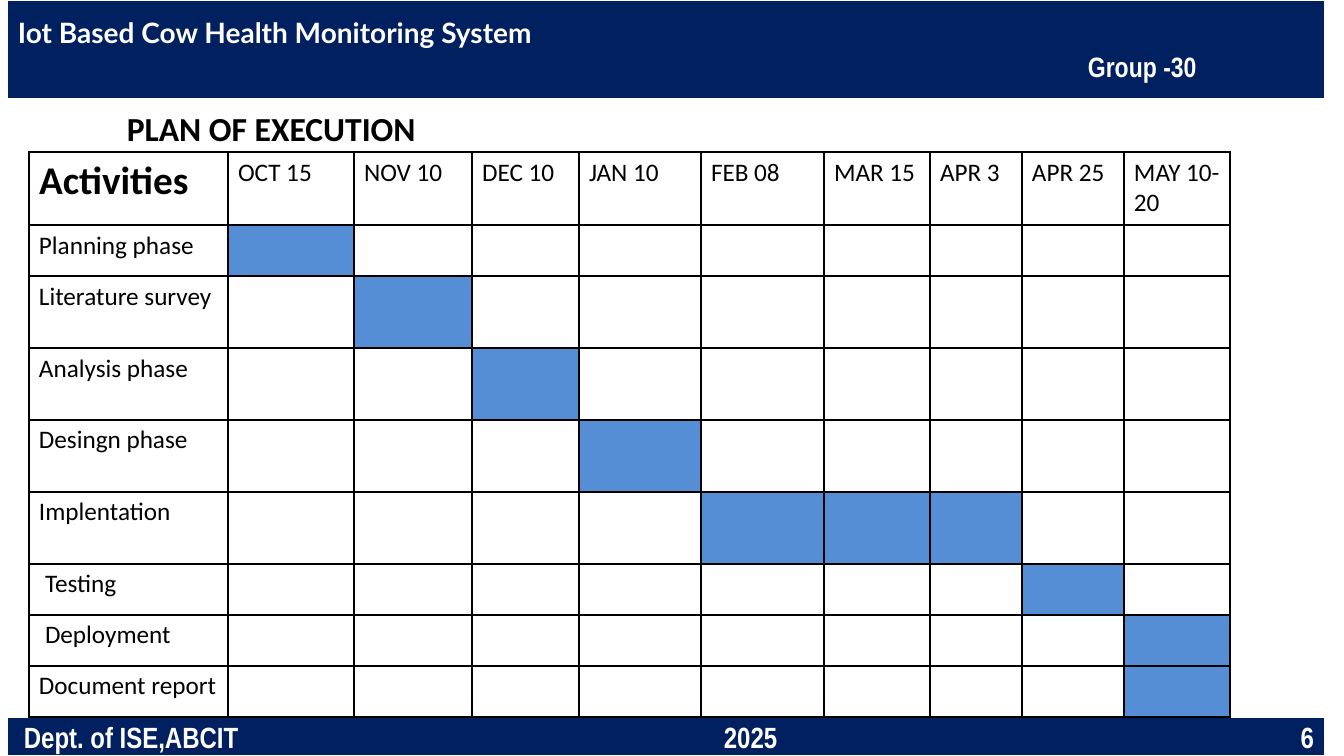
from pptx import Presentation
from pptx import util as u
from pptx.dml.color import RGBColor
from pptx.enum import shapes, text
from pptx.oxml import parse_xml
from pptx.oxml.ns import nsdecls, qn
from lxml import etree

HUES = {"navy": "002060", "bar": "558ED5", "white": "FFFFFF", "black": "000000"}
DATES = ["OCT 15", "NOV 10", "DEC 10", "JAN 10", "FEB 08",
         "MAR 15", "APR 3", "APR 25", "MAY 10-20"]
# activity, row height, filled columns, extra indent
TASKS = [
    ("Planning phase", 51, [1], 0),
    ("Literature survey", 72, [2], 0),
    ("Analysis phase", 72, [3], 0),
    ("Desingn phase", 72, [4], 0),
    ("Implentation", 72, [5, 6, 7], 0),
    ("Testing", 51, [8], 6),
    ("Deployment", 51, [9], 6),
    ("Document report", 51, [9], 0),
]
WIDTHS = [199, 126, 118, 107, 122, 123, 106, 92, 102, 106]
HEAD_H = 73
GRID = (29, 152)
TITLE = ("PLAN OF EXECUTION", (117, 103, 671, 50))
NARROW = {"name": "Arial Narrow", "size": 20, "bold": True}
# box, left inset, tab stops, lines with their font
BARS = [
    ((8, 0, 1317, 99), 10, [(1070, "l")], [
        ("Iot Based Cow Health Monitoring System", {**NARROW, "name": "Lato"}),
        ("\tGroup -30", NARROW)]),
    ((8, 717, 1317, 39), 16, [(700, "l"), (1290, "r")], [
        ("Dept. of ISE,ABCIT\t2025\t6", {**NARROW, "size": 20.9})]),
]
BODY = {"name": "Calibri", "size": 18, "bold": False}


def px(n):
    return u.Emu(round(n * 914400 / 100.8))


def hue(key):
    return RGBColor.from_string(HUES[key])


def style(font, form, color):
    for key, val in form.items():
        setattr(font, key, u.Pt(val) if key == "size" else val)
    font.color.rgb = hue(color)


def write(para, words, form, color):
    run = para.add_run()
    run.text = words
    style(run.font, form, color)


def add_bar(slide, box, inset, tabs, lines):
    bar = slide.shapes.add_shape(shapes.MSO_SHAPE.RECTANGLE, *map(px, box))
    bar.shadow.inherit = False
    bar.fill.solid()
    bar.fill.fore_color.rgb = hue("navy")
    bar.line.color.rgb = hue("white")
    bar.line.width = u.Pt(0.75)
    frame = bar.text_frame
    frame.margin_left, frame.margin_right = px(inset), 0
    frame.vertical_anchor = text.MSO_ANCHOR.MIDDLE
    for i, (words, form) in enumerate(lines):
        para = frame.add_paragraph() if i else frame.paragraphs[0]
        para.alignment = text.PP_ALIGN.LEFT
        write(para, words, form, "white")
        stops = etree.SubElement(para._p.get_or_add_pPr(), qn("a:tabLst"))
        for pos, side in tabs:
            etree.SubElement(stops, qn("a:tab"), pos=str(px(pos)), algn=side)


def edge(cell):
    """Give all four sides of a cell a thin black border."""
    props = cell._tc.get_or_add_tcPr()
    for side in "LRTB":
        props.append(parse_xml(
            f'<a:ln{side} {nsdecls("a")} w="12700"><a:solidFill>'
            f'<a:srgbClr val="{HUES["black"]}"/></a:solidFill></a:ln{side}>'))


def add_plan(slide):
    highs = [HEAD_H] + [task[1] for task in TASKS]
    size = (sum(WIDTHS), sum(highs))
    plan = slide.shapes.add_table(
        len(highs), len(WIDTHS), *map(px, GRID + size)).table
    plan.first_row = plan.horz_banding = False
    for col, wide in zip(plan.columns, WIDTHS):
        col.width = px(wide)
    for row, high in zip(plan.rows, highs):
        row.height = px(high)
    for cell in plan.iter_cells():
        edge(cell)
        cell.fill.background()
        style(cell.text_frame.paragraphs[0].font, BODY, "black")
    for c, words in enumerate(["Activities"] + DATES):
        form = BODY if c else {**BODY, "size": 28, "bold": True}
        write(plan.cell(0, c).text_frame.paragraphs[0], words, form, "black")
    for r, (name, _, spans, indent) in enumerate(TASKS, 1):
        label = plan.cell(r, 0)
        label.margin_left = px(10 + indent)
        write(label.text_frame.paragraphs[0], name, BODY, "black")
        for c in spans:
            fill = plan.cell(r, c).fill
            fill.solid()
            fill.fore_color.rgb = hue("bar")


def add_title(slide):
    words, box = TITLE
    frame = slide.shapes.add_textbox(*map(px, box)).text_frame
    frame.word_wrap = True
    write(frame.paragraphs[0], words, {**BODY, "size": 24, "bold": True}, "black")


def main():
    deck = Presentation()
    deck.slide_width, deck.slide_height = px(1344), px(756)
    slide = deck.slides.add_slide(deck.slide_layouts[6])
    for bar in BARS:
        add_bar(slide, *bar)
    add_plan(slide)
    add_title(slide)
    deck.save("out.pptx")


if __name__ == "__main__":
    main()
